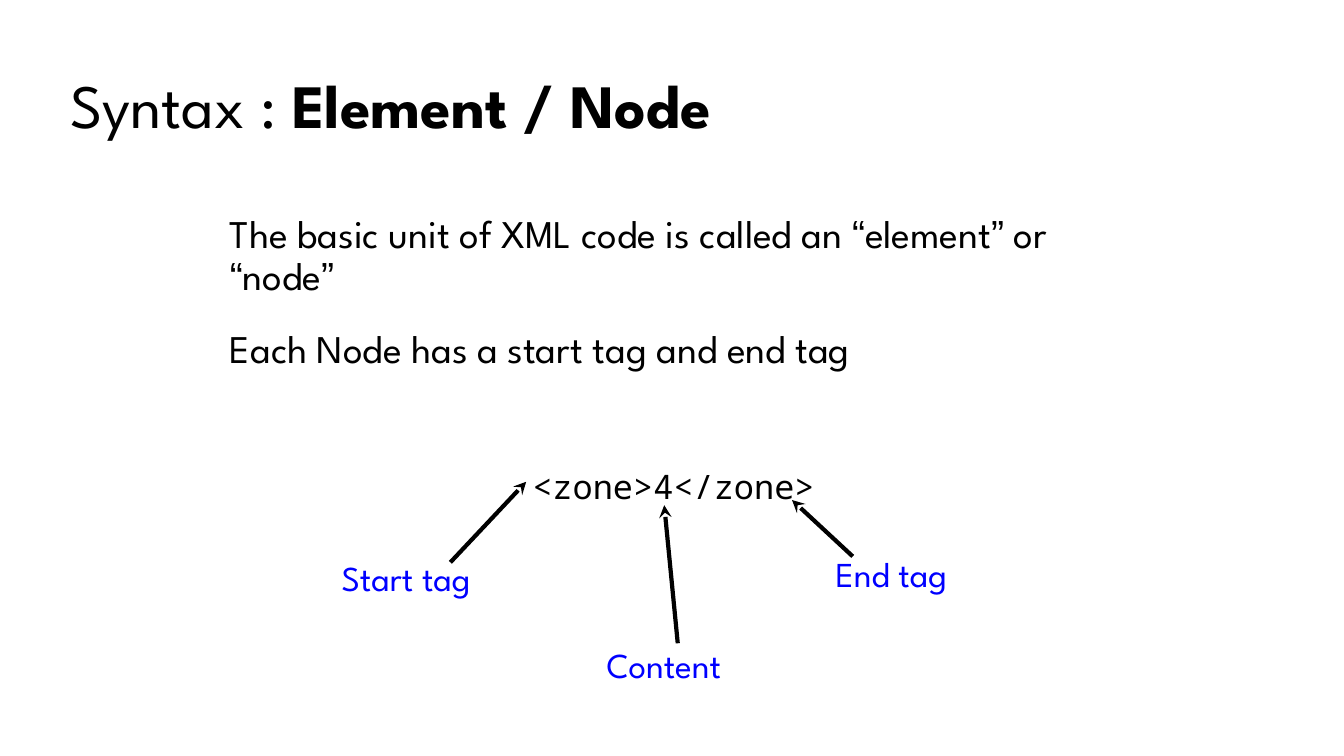
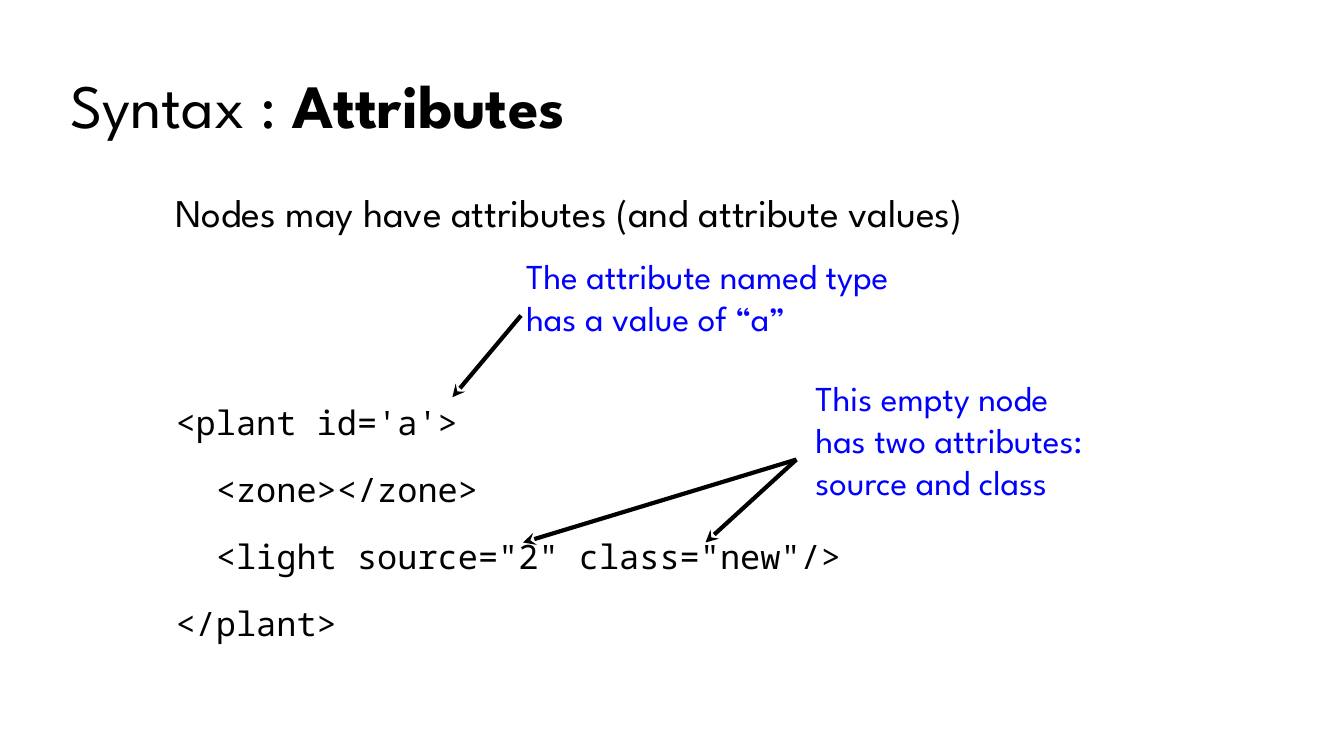
"""Build two slides on XML syntax: elements and attributes."""
from lxml import etree
from pptx import Presentation
from pptx import util as u
from pptx.dml.color import RGBColor
from pptx.enum import shapes, text
from pptx.oxml.ns import qn

COLORS = {"ink": "000000", "label": "0000FF"}
SANS, QUOTE, MONO = "League Spartan", "Arial", "Noto Sans Mono"
WIDTH, HEIGHT = 33.87, 19.05
TITLE_BOX = (1.52, 0.89, 30, 3.68)
LABEL_LINE = 1.07
GAP = 22
CODE = {"font": MONO, "size": 24}

SLIDES = [
    {
        "title": "Element / Node",
        "body_at": (5.54, 5.28, 22.86),
        "body": [
            ([("The basic unit of XML code is called an ", SANS), ("“", QUOTE),
              ("element", SANS), ("”", QUOTE), (" or ", SANS), ("“", QUOTE),
              ("node", SANS), ("”", QUOTE)], {"before": 0}),
            ("Each Node has a start tag and end tag", {}),
            ("<zone>4</zone>",
             {**CODE, "before": 70, "align": text.PP_ALIGN.CENTER}),
        ],
        "labels": [
            {"lines": ["Start tag"], "at": (8.61, 14.02, 3.68),
             "start": (11.35, 14.17), "targets": [(13.26, 12.14)]},
            {"lines": ["End tag"], "at": (21.06, 13.92, 3.38),
             "start": (21.49, 14.02), "targets": [(19.96, 12.6)]},
            {"lines": ["Content"], "at": (15.29, 16.21, 3.58),
             "start": "top", "targets": [(16.74, 12.73)]},
        ],
    },
    {
        "title": "Attributes",
        "body_at": (4.17, 4.75, 27.23),
        "body": [
            ("Nodes may have attributes (and attribute values)", {"before": 0}),
            ("<plant id='a'>", {**CODE, "before": 122}),
            ("  <zone></zone>", CODE),
            ('  <light source="2" class="new"/>', CODE),
            ("</plant>", CODE),
        ],
        "labels": [
            {"lines": ["The attribute named type", "has a value of “a”"],
             "at": (13.26, 6.4, 11.56),
             "start": (13.13, 7.95), "targets": [(11.4, 10.01)]},
            {"lines": ["This empty node", "has two attributes:", "source and class"],
             "at": (20.55, 9.47, 7.9), "start": (20.07, 11.58),
             "targets": [(13.18, 13.67), (17.78, 13.67)]},
        ],
    },
]


def place(shape, left, top, width, height):
    shape.left, shape.top = u.Cm(left), u.Cm(top)
    shape.width, shape.height = u.Cm(width), u.Cm(height)


def write(para, content, font=SANS, size=28, color="ink", bold=(),
          before=GAP, spacing=0.9, align=text.PP_ALIGN.LEFT):
    """Write a string or a list of (text, font) spans into a paragraph."""
    para.alignment, para.line_spacing = align, spacing
    para.space_before = u.Pt(before)
    spans = [(content, font)] if isinstance(content, str) else content
    for words, face in spans:
        span = para.add_run()
        span.text = words
        span.font.name, span.font.size = face, u.Pt(size)
        span.font.bold = words in bold
        span.font.color.rgb = RGBColor.from_string(COLORS[color])


def paragraphs(frame, count):
    return [frame.paragraphs[0]] + [frame.add_paragraph() for _ in range(count - 1)]


def fill_body(body, rows):
    body.text_frame.auto_size = text.MSO_AUTO_SIZE.NONE
    for para, (content, style) in zip(paragraphs(body.text_frame, len(rows)), rows):
        props = para._p.get_or_add_pPr()
        props.set("marL", "0")
        props.set("indent", "0")
        etree.SubElement(props, qn("a:buNone"))
        write(para, content, **style)


def add_label(page, lines, at):
    box = page.shapes.add_textbox(0, 0, 0, 0)
    place(box, *at, LABEL_LINE * len(lines))
    frame = box.text_frame
    frame.word_wrap = True
    frame.vertical_anchor = text.MSO_ANCHOR.MIDDLE
    frame.margin_left = frame.margin_right = 0
    frame.margin_top = frame.margin_bottom = 0
    for para, line in zip(paragraphs(frame, len(lines)), lines):
        write(para, line, size=25, color="label", before=0, spacing=1.0)
    return box


def add_arrow(page, box, start, target):
    joined = start == "top"
    origin = (0, 0) if joined else start
    arrow = page.shapes.add_connector(
        shapes.MSO_CONNECTOR.STRAIGHT, *[u.Cm(value) for value in (*origin, *target)])
    if joined:
        arrow.begin_connect(box, 0)
    arrow.line.width = u.Pt(3)
    arrow.line.color.rgb = RGBColor.from_string(COLORS["ink"])
    etree.SubElement(arrow.line._get_or_add_ln(), qn("a:tailEnd"), type="stealth")
    etree.SubElement(arrow._element.spPr, qn("a:effectLst"))


def add_page(deck, layout, content):
    page = deck.slides.add_slide(layout)
    write(page.shapes.title.text_frame.paragraphs[0],
          [("Syntax : ", SANS), (content["title"], SANS)],
          size=44, bold=(content["title"],), before=0)
    body = page.placeholders[1]
    left, top, width = content["body_at"]
    place(body, left, top, width, HEIGHT - top)
    fill_body(body, content["body"])
    for label in content["labels"]:
        box = add_label(page, label["lines"], label["at"])
        for target in label["targets"]:
            add_arrow(page, box, label["start"], target)


def main():
    deck = Presentation()
    deck.slide_width, deck.slide_height = u.Cm(WIDTH), u.Cm(HEIGHT)
    layout = deck.slide_layouts[1]
    title = layout.placeholders[0]
    place(title, *TITLE_BOX)
    title.text_frame.vertical_anchor = text.MSO_ANCHOR.MIDDLE
    title.text_frame.auto_size = text.MSO_AUTO_SIZE.NONE
    for content in SLIDES:
        add_page(deck, layout, content)
    deck.save("out.pptx")


if __name__ == "__main__":
    main()
